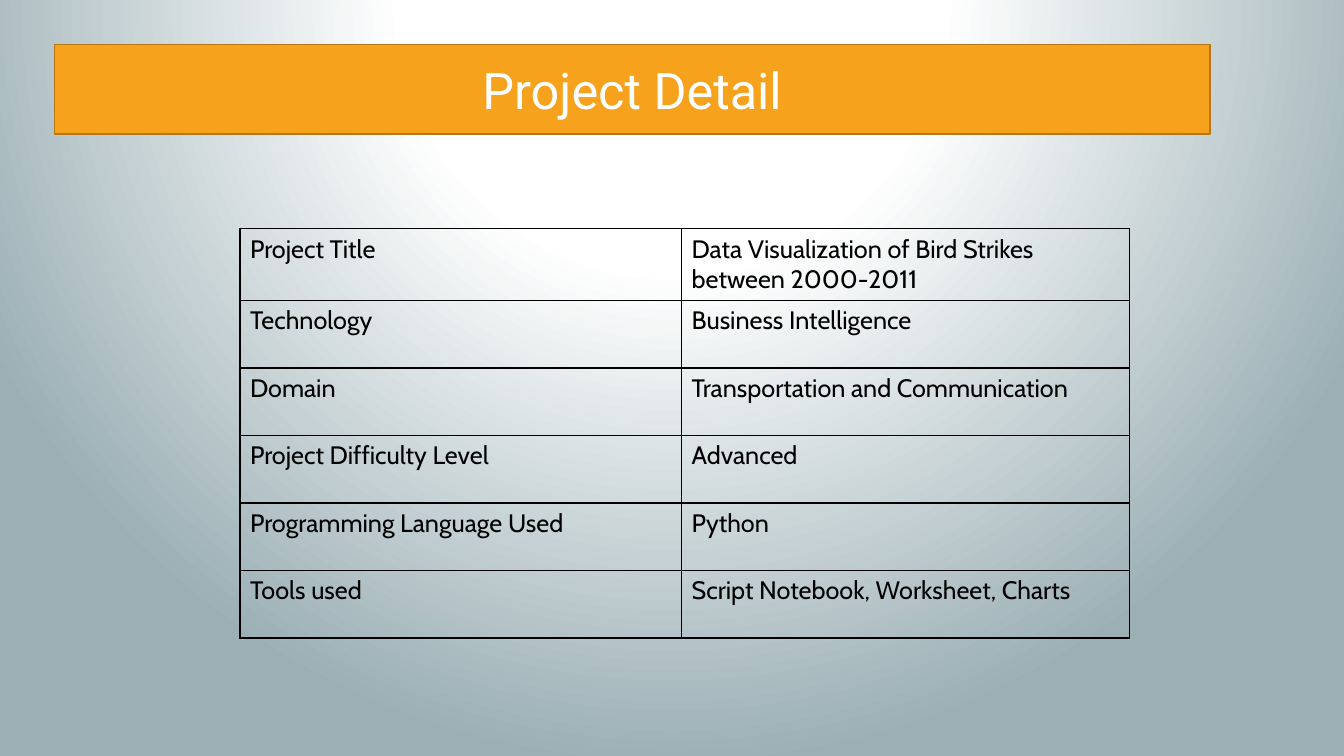
import pptx
import pptx.dml.color
import pptx.enum.text
import pptx.oxml
import pptx.oxml.ns
import pptx.util

Inches = pptx.util.Inches
NAMESPACES = pptx.oxml.ns.nsdecls("a", "p")
BACKGROUND_STOPS = [(0, "FFFFFF"), (35, "FFFFFF"), (100, "9BAFB5")]
COLUMN_WIDTHS = [4.38, 4.44]
FIRST_ROW_HEIGHT, ROW_HEIGHT = 0.48, 0.67
PROJECT_DETAILS = [
    ("Project Title", "Data Visualization of Bird Strikes between 2000-2011"),
    ("Technology", "Business Intelligence"),
    ("Domain", "Transportation and Communication"),
    ("Project Difficulty Level", "Advanced"),
    ("Programming Language Used", "Python"),
    ("Tools used", "Script Notebook, Worksheet, Charts"),
]


def color(value):
    """Return the colour for a hex string."""
    return pptx.dml.color.RGBColor.from_string(value)


def write_text(frame, text, *, font, size, ink, align):
    """Put one formatted paragraph into a text frame."""
    para = frame.paragraphs[0]
    para.alignment = align
    span = para.add_run()
    span.text = text
    span.font.name = font
    span.font.size = pptx.util.Pt(size)
    span.font.color.rgb = color(ink)


def paint_background(page):
    """Fill the page with a radial gradient centred above its top edge."""
    stops = "".join(
        f'<a:gs pos="{position * 1000}"><a:srgbClr val="{value}"/></a:gs>'
        for position, value in BACKGROUND_STOPS
    )
    background = pptx.oxml.parse_xml(
        f'<p:bg {NAMESPACES}><p:bgPr><a:gradFill rotWithShape="1">'
        f'<a:gsLst>{stops}</a:gsLst><a:path path="circle">'
        '<a:fillToRect l="50000" t="-80000" r="50000" b="180000"/>'
        '</a:path></a:gradFill><a:effectLst/></p:bgPr></p:bg>'
    )
    page.element.cSld.insert(0, background)


def place_title(page, text, left, top, width, height):
    """Turn the title placeholder into a rounded orange banner."""
    title = page.shapes.title
    title.left, title.top = Inches(left), Inches(top)
    title.width, title.height = Inches(width), Inches(height)
    outline = pptx.oxml.parse_xml(
        f'<a:prstGeom {NAMESPACES} prst="roundRect"><a:avLst/></a:prstGeom>'
    )
    title.element.spPr.insert(1, outline)
    title.fill.solid()
    title.fill.fore_color.rgb = color("F6A21D")
    title.line.color.rgb = color("B67815")
    title.line.width = pptx.util.Pt(1)
    frame = title.text_frame
    frame.auto_size = pptx.enum.text.MSO_AUTO_SIZE.NONE
    frame.vertical_anchor = pptx.enum.text.MSO_ANCHOR.MIDDLE
    write_text(frame, text, font="Roboto", size=36, ink="FFFFFF",
               align=pptx.enum.text.PP_ALIGN.CENTER)


def draw_borders(cell, value, points):
    """Draw a solid line on all four sides of a cell."""
    properties = cell._tc.get_or_add_tcPr()
    for index, side in enumerate(("lnL", "lnR", "lnT", "lnB")):
        border = pptx.oxml.parse_xml(
            f'<a:{side} {NAMESPACES} w="{pptx.util.Pt(points)}"><a:solidFill>'
            f'<a:srgbClr val="{value}"/></a:solidFill></a:{side}>'
        )
        properties.insert(index, border)


def place_details(page, details, left, top):
    """Place the two-column table of project details."""
    heights = [FIRST_ROW_HEIGHT] + [ROW_HEIGHT] * (len(details) - 1)
    table = page.shapes.add_table(
        len(details), len(COLUMN_WIDTHS), Inches(left), Inches(top),
        Inches(sum(COLUMN_WIDTHS)), Inches(sum(heights)),
    ).table
    table.first_row = table.horz_banding = False
    for column, width in zip(table.columns, COLUMN_WIDTHS):
        column.width = Inches(width)
    for row, height, texts in zip(table.rows, heights, details):
        row.height = Inches(height)
        for cell, text in zip(row.cells, texts):
            cell.fill.background()
            draw_borders(cell, "000000", 1)
            write_text(cell.text_frame, text, font="Cabin", size=18,
                       ink="000000", align=pptx.enum.text.PP_ALIGN.LEFT)


def main():
    """Build the project detail slide and save it."""
    deck = pptx.Presentation()
    deck.slide_width, deck.slide_height = Inches(13.33), Inches(7.5)
    page = deck.slides.add_slide(deck.slide_layouts.get_by_name("Title Only"))
    paint_background(page)
    place_title(page, "Project Detail", 0.54, 0.44, 11.46, 0.89)
    place_details(page, PROJECT_DETAILS, 2.38, 2.27)
    deck.save("out.pptx")


if __name__ == "__main__":
    main()
